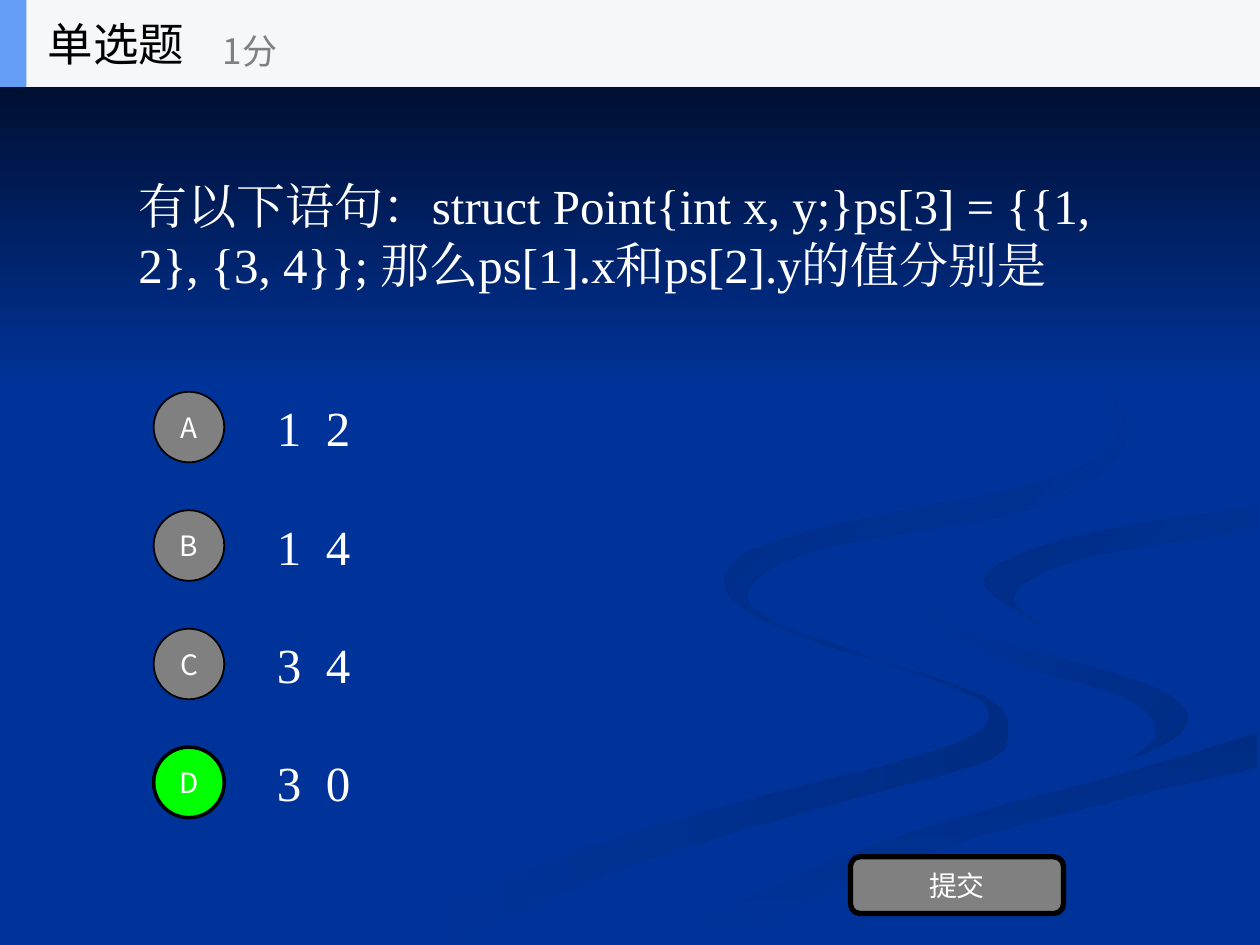
"""Build a single-choice quiz slide with a header, a question, four options and a submit button."""
from dataclasses import dataclass
from typing import Optional

from lxml import etree
from pptx import Presentation
from pptx import util as u
from pptx.dml.color import RGBColor
from pptx.enum import shapes, text
from pptx.oxml import ns

PX = u.Inches(0.01)
STEPS = 6


@dataclass(frozen=True)
class Theme:
    blue: str = "003399"
    navy: str = "000514"
    shade: str = "002C84"
    white: str = "FFFFFF"
    black: str = "000000"
    gray: str = "808080"
    green: str = "00FF00"
    bar: str = "F6F7F8"
    accent: str = "639EF4"
    serif: str = "Times New Roman"
    sans: str = "Noto Sans CJK SC"
    body: int = 28
    title: int = 26
    score: int = 20
    label: int = 16


@dataclass(frozen=True)
class Box:
    x: int
    y: int
    w: int
    h: int

    def emu(self) -> tuple:
        return tuple(v * PX for v in (self.x, self.y, self.w, self.h))


@dataclass(frozen=True)
class Ribbon:
    edges: tuple
    start: str
    end: Optional[str] = None
    angle: int = 0


@dataclass(frozen=True)
class Option:
    letter: str
    answer: str
    chosen: bool = False


T = Theme()

RIBBONS = (
    Ribbon((
        ((575, 459), (583, 477), (642, 507), (752, 543), (785, 566), (749, 594), (579, 639), (417, 690), (300, 749)),
        ((361, 749), (499, 687), (676, 634), (780, 605), (800, 581), (781, 553), (682, 519), (594, 485), (575, 459)),
    ), T.blue, T.shade),
    Ribbon((
        ((724, 464), (733, 488), (797, 524), (892, 553), (918, 581), (894, 605)),
        ((894, 605), (941, 581), (930, 553), (850, 524), (758, 498), (724, 464)),
    ), T.blue, T.shade, 45),
    Ribbon((
        ((571, 749), (695, 692), (821, 651), (998, 609)),
        ((998, 581), (831, 629), (696, 669), (569, 719), (503, 749)),
    ), T.shade, T.blue, 90),
    Ribbon((
        ((725, 464), (759, 498), (905, 540), (943, 570), (892, 605), (704, 655), (477, 749)),
        ((519, 747), (696, 669), (904, 610), (999, 581)),
        ((999, 538), (832, 498), (781, 463), (850, 427), (999, 402)),
        ((999, 387), (788, 422), (725, 464)),
    ), T.blue),
    Ribbon((
        ((826, 496), (805, 472), (859, 443), (998, 420)),
        ((998, 402), (849, 427), (781, 460), (826, 496)),
    ), T.shade, T.blue, 45),
    Ribbon((
        ((762, 233), (846, 279), (889, 335), (842, 378), (676, 414), (589, 441), (580, 474), (622, 500)),
        ((622, 500), (593, 470), (649, 436), (825, 402), (894, 344), (843, 275), (762, 233)),
    ), T.shade, T.blue, 45),
    Ribbon((((0, 0), (1000, 0)), ((1000, 308), (0, 308))), T.navy, T.blue, 90),
)

OPTIONS = (Option("A", "1  2"), Option("B", "1  4"), Option("C", "3  4"), Option("D", "3  0", True))
OPTION_TOP, OPTION_PITCH = 311, 94
QUESTION = "有以下语句：struct Point{int x, y;}ps[3] = {{1, 2}, {3, 4}}; 那么ps[1].x和ps[2].y的值分别是"


def smooth(edge: tuple) -> list:
    knots = (edge[0], *edge, edge[-1])
    curve = []
    for a, b, c, d in zip(knots, knots[1:], knots[2:], knots[3:]):
        for step in range(STEPS):
            t = step / STEPS
            curve.append(tuple(
                round(q + t * ((r - p) + t * ((2 * p - 5 * q + 4 * r - s) + t * (3 * q - p - 3 * r + s))) / 2)
                for p, q, r, s in zip(a, b, c, d)))
    return curve + [edge[-1]]


def write(s, content: str, *, size: int, color: str = T.white, font: str = T.sans, center: bool = False) -> None:
    tf = s.text_frame
    tf.word_wrap = True
    tf.vertical_anchor = text.MSO_ANCHOR.MIDDLE
    p = tf.paragraphs[0]
    p.alignment = text.PP_ALIGN.CENTER if center else text.PP_ALIGN.LEFT
    r = p.add_run()
    r.text = content
    r.font.size = u.Pt(size)
    r.font.name = font
    r.font.color.rgb = RGBColor.from_string(color)
    etree.SubElement(r.font._element, ns.qn("a:ea")).set("typeface", font)


def add_text(sp, box: Box, content: str, **style) -> None:
    write(sp.add_textbox(*box.emu()), content, **style)


def paint(fill, color: str) -> None:
    fill.solid()
    fill.fore_color.rgb = RGBColor.from_string(color)


def add_block(sp, kind, box: Box, fill: str, line: int = 0):
    s = sp.add_shape(kind, *box.emu())
    s.shadow.inherit = False
    paint(s.fill, fill)
    if line:
        s.line.width = u.Pt(line)
        s.line.color.rgb = RGBColor.from_string(T.black)
    else:
        s.line.fill.background()
    return s


def add_ribbon(sp, ribbon: Ribbon) -> None:
    first, *rest = [point for edge in ribbon.edges for point in smooth(edge)]
    builder = sp.build_freeform(*first, scale=PX)
    builder.add_line_segments(rest, close=True)
    s = builder.convert_to_shape()
    s.shadow.inherit = False
    s.line.fill.background()
    if ribbon.end is None:
        paint(s.fill, ribbon.start)
        return
    s.fill.gradient()
    s.fill.gradient_angle = -ribbon.angle % 360
    for stop, color in zip(s.fill.gradient_stops, (ribbon.start, ribbon.end)):
        stop.color.rgb = RGBColor.from_string(color)


def add_option(sp, option: Option, top: int) -> None:
    add_text(sp, Box(210, top - 7, 690, 70), option.answer, size=T.body, font=T.serif)
    fill, line = (T.green, 2) if option.chosen else (T.gray, 1)
    s = add_block(sp, shapes.MSO_SHAPE.OVAL, Box(122, top, 56, 56), fill, line)
    write(s, option.letter, size=T.label, center=True)


def main() -> None:
    prs = Presentation()
    prs.slide_width, prs.slide_height = 1000 * PX, 750 * PX
    slide = prs.slides.add_slide(prs.slide_layouts[6])
    paint(slide.background.fill, T.blue)
    sp = slide.shapes
    for ribbon in RIBBONS:
        add_ribbon(sp, ribbon)
    add_text(sp, Box(100, 69, 800, 234), QUESTION, size=T.body, font=T.serif)
    for i, option in enumerate(OPTIONS):
        add_option(sp, option, OPTION_TOP + i * OPTION_PITCH)
    submit = add_block(sp, shapes.MSO_SHAPE.ROUNDED_RECTANGLE, Box(675, 680, 169, 45), T.gray, 3)
    write(submit, "提交", size=T.label, center=True)
    add_block(sp, shapes.MSO_SHAPE.RECTANGLE, Box(0, 0, 1000, 69), T.bar)
    add_block(sp, shapes.MSO_SHAPE.RECTANGLE, Box(0, 0, 21, 69), T.accent)
    add_text(sp, Box(28, 0, 208, 69), "单选题", size=T.title, color=T.black)
    add_text(sp, Box(167, 12, 250, 56), "1分", size=T.score, color=T.gray)
    prs.save("out.pptx")


if __name__ == "__main__":
    main()
